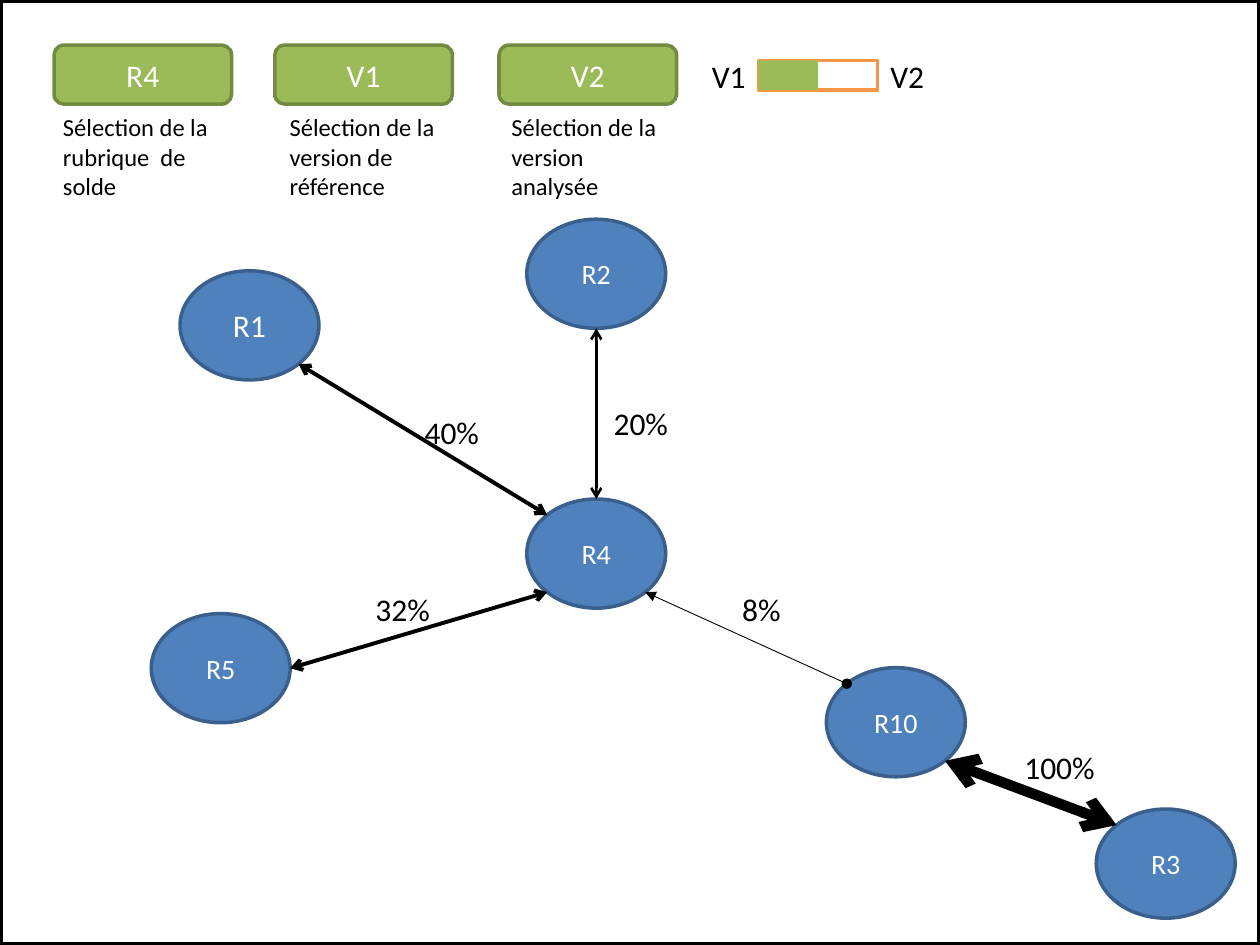
from math import sqrt

from pptx import Presentation
from pptx.dml.color import RGBColor
from pptx.enum.shapes import MSO_CONNECTOR as Link, MSO_SHAPE as Shape
from pptx.enum.text import MSO_ANCHOR as Anchor, MSO_AUTO_SIZE as AutoSize, PP_ALIGN as Align
from pptx.oxml.ns import qn
from pptx.util import Cm, Pt

BLACK = RGBColor(0x00, 0x00, 0x00)
WHITE = RGBColor(0xFF, 0xFF, 0xFF)
BLUE = RGBColor(0x4F, 0x81, 0xBD)
DARK_BLUE = RGBColor(0x3A, 0x5F, 0x8C)
GREEN = RGBColor(0x9B, 0xBB, 0x59)
DARK_GREEN = RGBColor(0x73, 0x8A, 0x42)
ORANGE = RGBColor(0xF7, 0x96, 0x46)

PAGE_W, PAGE_H = 25.4, 19.05
NODE_W, NODE_H = 2.8, 2.2
BUTTON_W, BUTTON_H = 3.58, 1.19

# Directions from a node's centre to its edge
TOP, BOTTOM, RIGHT = (0, -1), (0, 1), (1, 0)
DIAGONAL = 1 / sqrt(2)
TOP_LEFT = (-DIAGONAL, -DIAGONAL)
BOTTOM_LEFT = (-DIAGONAL, DIAGONAL)
BOTTOM_RIGHT = (DIAGONAL, DIAGONAL)


class Diagram:
    font = "Calibri"

    def __init__(self, page):
        self.page = page
        self.nodes = {}

    def set_text(self, box, text, size, color, align):
        para = box.text_frame.paragraphs[0]
        para.text = text
        para.alignment = align
        para.font.name = self.font
        para.font.size = Pt(size)
        para.font.color.rgb = color

    def shape(self, kind, left, top, width, height, fill=None, line=None,
              weight=2, text=None, size=18):
        box = self.page.shapes.add_shape(kind, Cm(left), Cm(top), Cm(width), Cm(height))
        box.shadow.inherit = False
        if fill is None:
            box.fill.background()
        else:
            box.fill.solid()
            box.fill.fore_color.rgb = fill
        if line is None:
            box.line.fill.background()
        else:
            box.line.color.rgb = line
            box.line.width = Pt(weight)
        if text:
            box.text_frame.vertical_anchor = Anchor.MIDDLE
            self.set_text(box, text, size, WHITE, Align.CENTER)

    def node(self, name, left, top, size=16):
        self.nodes[name] = (left + NODE_W / 2, top + NODE_H / 2)
        self.shape(Shape.OVAL, left, top, NODE_W, NODE_H, BLUE, DARK_BLUE,
                   text=name, size=size)

    def button(self, text, left):
        self.shape(Shape.ROUNDED_RECTANGLE, left, 0.91, BUTTON_W, BUTTON_H,
                   GREEN, DARK_GREEN, text=text)

    def label(self, text, left, top, width, height=1.03, size=18, wrap=False):
        box = self.page.shapes.add_textbox(Cm(left), Cm(top), Cm(width), Cm(height))
        box.text_frame.word_wrap = wrap
        box.text_frame.auto_size = AutoSize.SHAPE_TO_FIT_TEXT
        self.set_text(box, text, size, BLACK, Align.LEFT)

    def edge_point(self, name, direction):
        (x, y), (dx, dy) = self.nodes[name], direction
        return Cm(x + dx * NODE_W / 2), Cm(y + dy * NODE_H / 2)

    def link(self, start, start_side, end, end_side, weight, head="arrow", tail="arrow"):
        connector = self.page.shapes.add_connector(
            Link.STRAIGHT, *self.edge_point(start, start_side),
            *self.edge_point(end, end_side))
        connector.line.color.rgb = BLACK
        connector.line.width = Pt(weight)
        properties = connector.element.spPr
        outline = properties.find(qn("a:ln"))
        for tag, kind in (("a:headEnd", head), ("a:tailEnd", tail)):
            outline.append(outline.makeelement(qn(tag), {"type": kind}))
        properties.append(properties.makeelement(qn("a:effectLst"), {}))


def main():
    deck = Presentation()
    deck.slide_width, deck.slide_height = Cm(PAGE_W), Cm(PAGE_H)
    diagram = Diagram(deck.slides.add_slide(deck.slide_layouts[6]))

    # Nodes
    diagram.node("R1", 3.63, 5.46, size=18)
    for name, left, top in (("R2", 10.62, 4.42), ("R4", 10.62, 10.06),
                            ("R10", 16.66, 13.46), ("R5", 3.05, 12.37),
                            ("R3", 22.1, 16.31)):
        diagram.node(name, left, top)

    # Links, thicker for higher shares
    diagram.link("R4", BOTTOM_LEFT, "R5", RIGHT, 2.25)
    diagram.link("R4", BOTTOM_RIGHT, "R10", TOP_LEFT, 0.5, "triangle", "oval")
    diagram.link("R4", TOP, "R2", BOTTOM, 1.5)
    diagram.link("R4", TOP_LEFT, "R1", BOTTOM_RIGHT, 2.25)
    diagram.link("R10", BOTTOM_RIGHT, "R3", TOP_LEFT, 6)

    # Shares
    for share, left, top, width in (("40%", 8.31, 8.2, 1.63), ("100%", 20.4, 14.96, 1.96),
                                    ("20%", 12.12, 8.03, 1.63), ("8%", 14.71, 11.76, 1.3),
                                    ("32%", 7.32, 11.76, 1.63)):
        diagram.label(share, left, top, width)

    # Selection buttons and captions
    for name, left, caption, caption_left in (
            ("R4", 1.09, "Sélection de la rubrique  de solde", 1.02),
            ("V1", 5.54, "Sélection de la version de référence", 5.59),
            ("V2", 10.06, "Sélection de la version analysée", 10.06)):
        diagram.button(name, left)
        diagram.label(caption, caption_left, 2.14, 3.68, 2.06, size=14, wrap=True)

    # Version slider
    diagram.shape(Shape.RECTANGLE, 15.29, 1.22, 2.4, 0.6, WHITE, ORANGE)
    diagram.shape(Shape.RECTANGLE, 15.29, 1.22, 1.2, 0.6, GREEN)
    diagram.label("V1", 14.1, 1.02, 1.19)
    diagram.label("V2", 17.7, 1.02, 1.19)

    # Page frame
    diagram.shape(Shape.RECTANGLE, 0, 0, PAGE_W, PAGE_H, line=BLACK, weight=3)

    deck.save("out.pptx")


if __name__ == "__main__":
    main()
